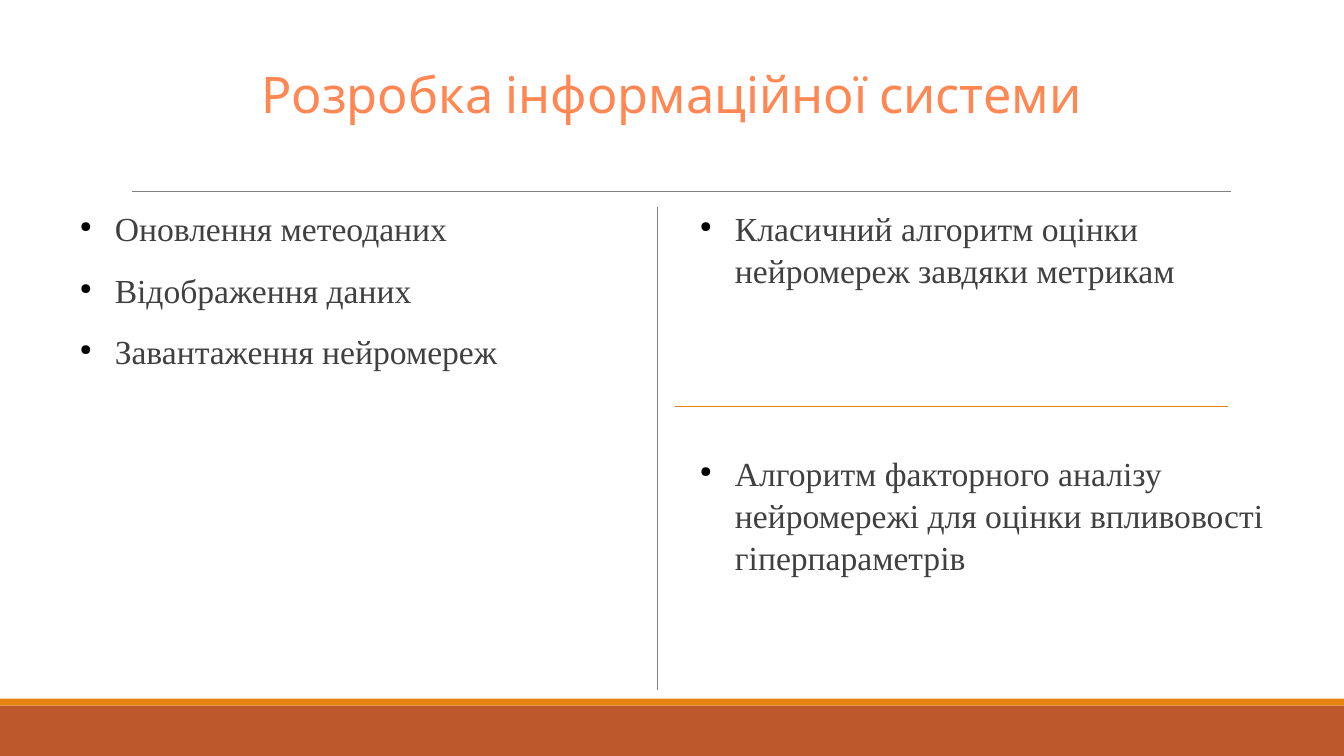
from dataclasses import dataclass

from lxml import etree
from pptx import Presentation
from pptx.dml.color import RGBColor as RGB
from pptx.enum.shapes import MSO_CONNECTOR as CONN, MSO_SHAPE as SHAPE
from pptx.enum.text import MSO_ANCHOR as ANCHOR, PP_ALIGN as ALIGN
from pptx.oxml.ns import qn
from pptx.util import Pt

TITLE = "Розробка інформаційної системи"
FEATURES = ["Оновлення метеоданих", "Відображення даних", "Завантаження нейромереж"]
ALGORITHMS = [
    "Класичний алгоритм оцінки нейромереж завдяки метрикам",
    "Алгоритм факторного аналізу нейромережі для оцінки впливовості гіперпараметрів",
]


@dataclass(frozen=True)
class Theme:
    """Colours, fonts and type sizes."""
    title: str = "FF8754"
    body: str = "404040"
    bullet: str = "000000"
    rule: str = "808080"
    accent: str = "E48312"
    footer: str = "BD582C"
    title_font: str = "Karla"
    body_font: str = "Times New Roman"
    title_size: int = 36
    body_size: int = 24


T = Theme()
W, H = 960, 540
MARGIN, TOP = 48, 147.6
COL_W, COL_STEP = 422, 443
ROW_H, ROW_STEP = 149, 175
FOOTER_H, STRIPE_H = 36, 5
INDENT, HANG = 34, 25


def add_band(s, y, h, color):
    """Draw a full-width strip."""
    sp = s.shapes.add_shape(SHAPE.RECTANGLE, 0, Pt(y), Pt(W), Pt(h))
    sp.shadow.inherit = False
    sp.fill.solid()
    sp.fill.fore_color.rgb = RGB.from_string(color)
    sp.line.fill.background()


def add_rule(s, x1, y1, x2, y2, color, width):
    """Draw a straight line without a shadow."""
    ln = s.shapes.add_connector(CONN.STRAIGHT, Pt(x1), Pt(y1), Pt(x2), Pt(y2))
    ln.line.color.rgb = RGB.from_string(color)
    ln.line.width = Pt(width)
    etree.SubElement(ln._element.spPr, qn("a:effectLst"))


def add_text(s, box, lines, font, size, color):
    """Add a wrapped text box without insets and return its frame."""
    tf = s.shapes.add_textbox(*map(Pt, box)).text_frame
    tf.word_wrap = True
    tf.margin_left = tf.margin_right = tf.margin_top = tf.margin_bottom = 0
    tf.text = "\n".join(lines)
    for p in tf.paragraphs:
        for r in p.runs:
            r.font.name, r.font.size = font, Pt(size)
            r.font.color.rgb = RGB.from_string(color)
    return tf


def add_bullet(p):
    """Give a paragraph a small round bullet and a hanging indent."""
    pPr = p._p.get_or_add_pPr()
    pPr.set("marL", str(Pt(INDENT)))
    pPr.set("indent", str(-Pt(HANG)))
    clr = etree.SubElement(pPr, qn("a:buClr"))
    etree.SubElement(clr, qn("a:srgbClr"), val=T.bullet)
    etree.SubElement(pPr, qn("a:buSzPct"), val="45000")
    etree.SubElement(pPr, qn("a:buChar"), char="●")


def add_list(s, x, y, h, items):
    """Add a bulleted list in one column."""
    tf = add_text(s, (x, y, COL_W, h), items, T.body_font, T.body_size, T.body)
    for p in tf.paragraphs:
        p.line_spacing = 1.04
        p.space_before, p.space_after = Pt(12), Pt(2)
        add_bullet(p)


def build():
    """Build the slide and save it."""
    prs = Presentation()
    prs.slide_width, prs.slide_height = Pt(W), Pt(H)
    s = prs.slides.add_slide(prs.slide_layouts[6])

    add_band(s, H - FOOTER_H, FOOTER_H, T.footer)
    add_band(s, H - FOOTER_H - STRIPE_H, STRIPE_H, T.accent)
    add_rule(s, 94.3, 136.8, 879, 136.8, T.rule, 0.5)

    add_list(s, MARGIN, TOP, 313, FEATURES)
    for i, algorithm in enumerate(ALGORITHMS):
        add_list(s, MARGIN + COL_STEP, TOP + i * ROW_STEP, ROW_H, [algorithm])

    tf = add_text(s, (MARGIN, 21.6, W - 2 * MARGIN, 90), [TITLE],
                  T.title_font, T.title_size, T.title)
    tf.vertical_anchor = ANCHOR.MIDDLE
    tf.paragraphs[0].alignment = ALIGN.CENTER

    add_rule(s, 469.5, TOP, 469.5, 493.2, T.rule, 0.5)
    add_rule(s, 877, 290.2, 482.4, 290.2, T.accent, 1)
    prs.save("out.pptx")


build()
